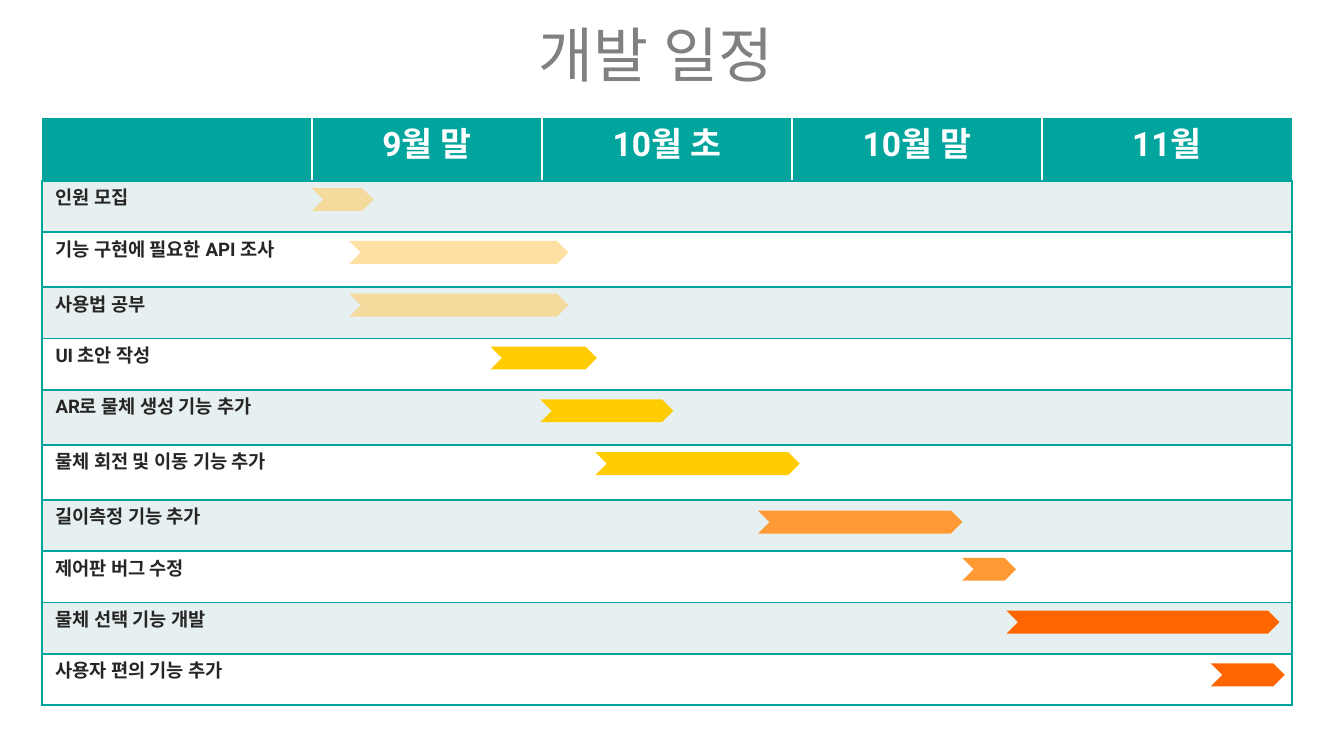
from lxml import etree
from pptx import Presentation
from pptx import util as u
from pptx.dml.color import RGBColor
from pptx.enum import shapes, text
from pptx.oxml import ns

deck = Presentation()
deck.slide_width = u.Inches(10)
deck.slide_height = u.Emu(deck.slide_width * 9 // 16)
unit = deck.slide_width / 100


def grid(*nums):
    return [u.Emu(round(n * unit)) for n in nums]


def write(para, word, size, code, bold):
    run = para.add_run()
    run.text = word
    run.font.size = u.Pt(size)
    run.font.bold = bold
    run.font.name = "Roboto"
    run.font.color.rgb = RGBColor.from_string(code)
    etree.SubElement(run.font._element, ns.qn("a:ea"), typeface="Roboto")


teal, white, pale = "01A59E", "FFFFFF", "E7F0F0"
sand, gold, peach, flame = "FFCC66", "FFCC00", "FF9933", "FF6600"

slide = deck.slides.add_slide(deck.slide_layouts[5])
title = slide.shapes.title
title.left, title.top, title.width, title.height = grid(3.1, 1.3, 91.5, 5.4)
frame = title.text_frame
frame.margin_left = frame.margin_right = frame.margin_top = frame.margin_bottom = 0
frame.vertical_anchor = text.MSO_ANCHOR.MIDDLE
para = frame.paragraphs[0]
para.alignment = text.PP_ALIGN.CENTER
write(para, "개발 일정", 32, "808080", False)

months = ["", "9월 말", "10월 초", "10월 말", "11월"]
tasks = [
    ("인원 모집", 3.82, 23.2, 4.6, sand),
    ("기능 구현에 필요한 API 조사", 4.1, 26, 16.3, sand),
    ("사용법 공부", 3.82, 26, 16.3, sand),
    ("UI 초안 작성", 3.82, 36.5, 7.9, gold),
    ("AR로 물체 생성 기능 추가", 4.1, 40.2, 9.9, gold),
    ("물체 회전 및 이동 기능 추가", 4.1, 44.3, 15.2, gold),
    ("길이측정 기능 추가", 3.82, 56.4, 15.2, peach),
    ("제어판 버그 수정", 3.82, 71.6, 4, peach),
    ("물체 선택 기능 개발", 3.82, 74.9, 20.3, flame),
    ("사용자 편의 기능 추가", 3.82, 90.1, 5.5, flame),
]
cols = grid(20.1, 17.1, 18.6, 18.6, 18.6)
rows = grid(4.6, *[task[1] for task in tasks])
words = [months] + [[task[0], "", "", "", ""] for task in tasks]

box = slide.shapes.add_table(len(rows), len(cols), *grid(3.13, 8.85, 93, 43.64))
table = box.table
table._tbl.tblPr.find(ns.qn("a:tableStyleId")).text = "{2D5ABB26-0587-4C30-8999-92F81FD0307C}"
for col, wide in zip(table.columns, cols):
    col.width = wide
for row, high in zip(table.rows, rows):
    row.height = high

last = len(cols) - 1
for i, line in enumerate(words):
    head = i == 0
    for j, word in enumerate(line):
        cell = table.cell(i, j)
        edges = {"lnT": teal, "lnB": teal}
        if head:
            if j > 0:
                edges["lnL"] = white
            if j < last:
                edges["lnR"] = white
        elif j == 0:
            edges["lnL"] = teal
        elif j == last:
            edges["lnR"] = teal
        props = cell._tc.get_or_add_tcPr()
        for side in ("lnL", "lnR", "lnT", "lnB"):
            if side in edges:
                edge = etree.SubElement(props, ns.qn("a:" + side), w=str(u.Pt(1)))
                fill = etree.SubElement(edge, ns.qn("a:solidFill"))
                etree.SubElement(fill, ns.qn("a:srgbClr"), val=edges[side])
        cell.fill.solid()
        cell.fill.fore_color.rgb = RGBColor.from_string(teal if head else pale if i % 2 else white)
        para = cell.text_frame.paragraphs[0]
        para.alignment = text.PP_ALIGN.CENTER if head else text.PP_ALIGN.JUSTIFY
        if word:
            write(para, word, 18 if head else 10, white if head else "262626", True)
        else:
            etree.SubElement(para._p, ns.qn("a:endParaRPr"), sz="1000")

for i, (name, high, left, wide, hue) in enumerate(tasks):
    top = 38 if hue == peach and wide > 10 else 14 + 3.93 * i
    bar = slide.shapes.add_shape(shapes.MSO_SHAPE.CHEVRON, *grid(left, top, wide, 1.7))
    bar.shadow.inherit = False
    bar.line.fill.background()
    bar.fill.solid()
    bar.fill.fore_color.rgb = RGBColor.from_string(hue)
    if hue == sand:
        shade = bar._element.spPr.find(".//" + ns.qn("a:srgbClr"))
        etree.SubElement(shade, ns.qn("a:alpha"), val="60000")

deck.save("out.pptx")
